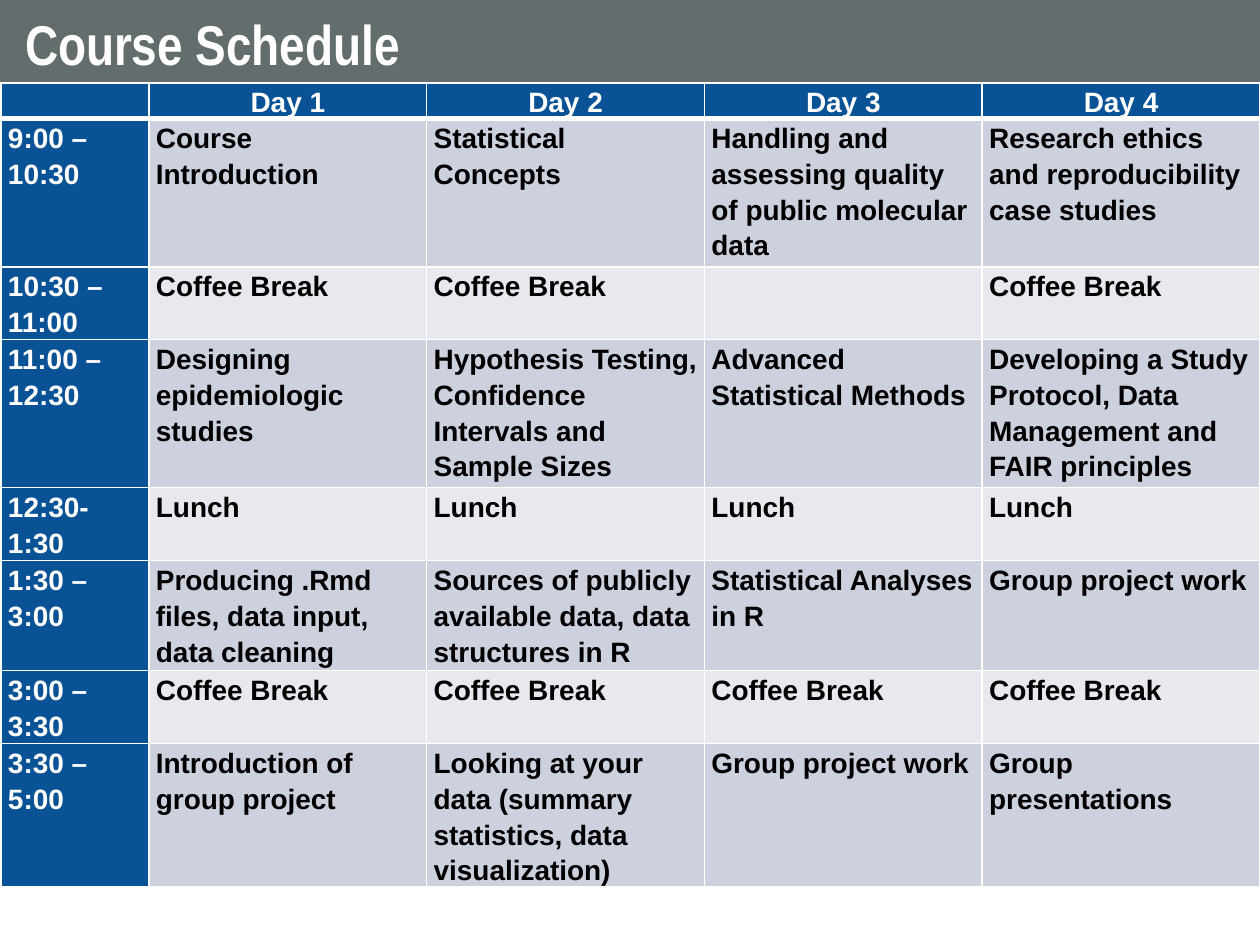
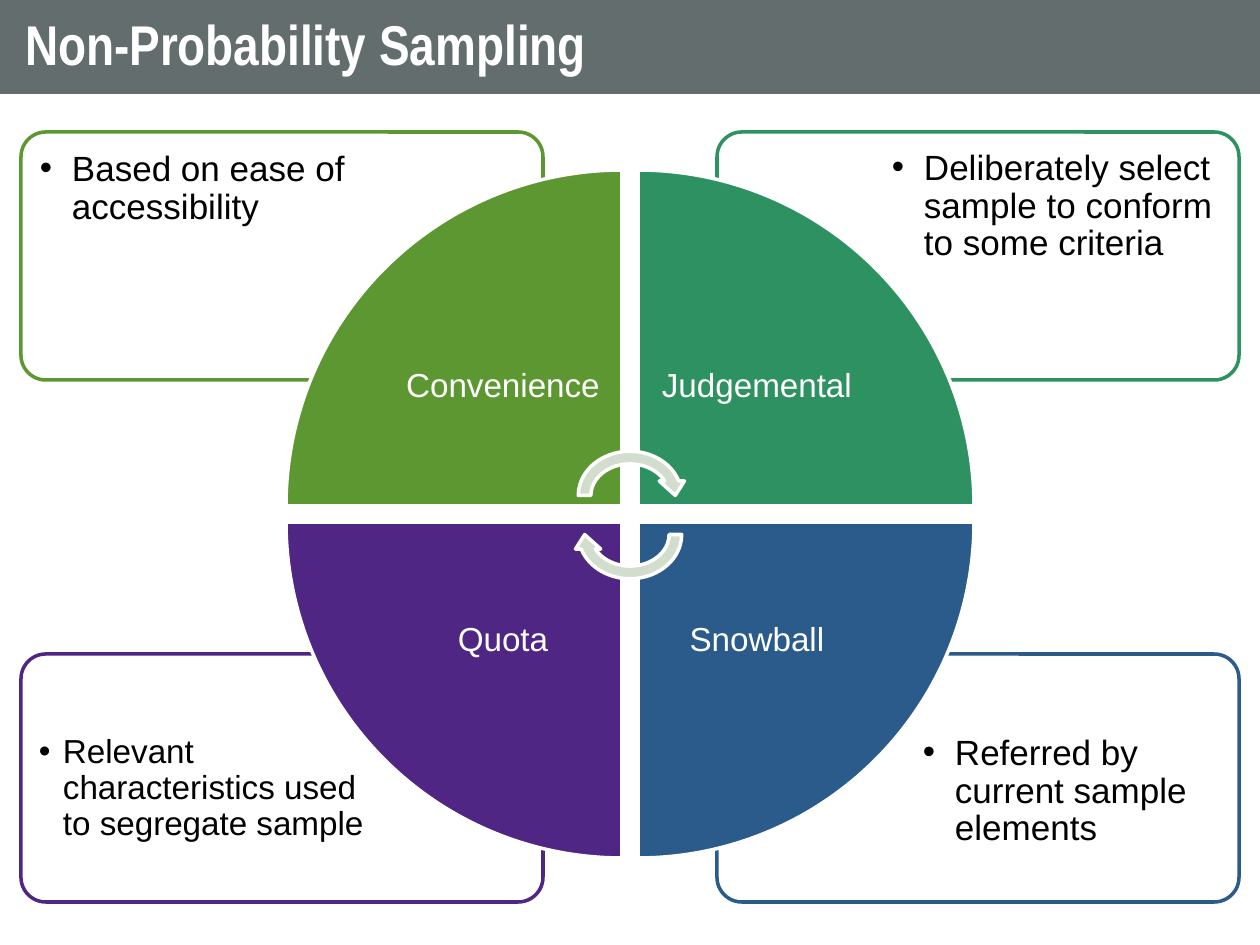
from dataclasses import dataclass

from lxml.etree import SubElement as Sub
from pptx import Presentation
from pptx.dml.color import RGBColor as Rgb
from pptx.enum.shapes import MSO_SHAPE as Kind
from pptx.enum.text import MSO_ANCHOR as Anchor, MSO_AUTO_SIZE as Auto, PP_ALIGN as Align
from pptx.oxml.ns import qn
from pptx.util import Emu, Pt


@dataclass(frozen=True)
class Theme:
    """Colours, faces and type sizes of the deck."""
    band: str = "636D6E"
    white: str = "FFFFFF"
    black: str = "000000"
    blue: str = "085295"
    dark: str = "CCD1DD"
    light: str = "E7E9EF"
    arrow: str = "D2DDCE"
    green: str = "5D9732"
    teal: str = "2E9162"
    navy: str = "2A5B8A"
    plum: str = "4F2683"
    face: str = "Arial"
    head: str = "Arial Narrow"
    title: int = 32
    cell: int = 16
    label: int = 19
    note: int = 20


T = Theme()
SCALE = 914400 / 126
WIDE, HIGH = 1260, 945

DAYS = ["", "Day 1", "Day 2", "Day 3", "Day 4"]
COFFEE = "Coffee Break"
PLAN = [
    (148, ["9:00 – 10:30", "Course Introduction", "Statistical Concepts",
           "Handling and assessing quality of public molecular data",
           "Research ethics and reproducibility case studies"]),
    (73, ["10:30 – 11:00", COFFEE, COFFEE, "", COFFEE]),
    (148, ["11:00 – 12:30", "Designing epidemiologic studies",
           "Hypothesis Testing, Confidence Intervals and Sample Sizes",
           "Advanced Statistical Methods",
           "Developing a Study Protocol, Data Management and FAIR principles"]),
    (73, ["12:30-1:30"] + ["Lunch"] * 4),
    (110, ["1:30 – 3:00", "Producing .Rmd files, data input, data cleaning",
           "Sources of publicly available data, data structures in R",
           "Statistical Analyses in R", "Group project work"]),
    (73, ["3:00 – 3:30"] + [COFFEE] * 4),
    (143, ["3:30 – 5:00", "Introduction of group project",
           "Looking at your data (summary statistics, data visualization)",
           "Group project work", "Group presentations"]),
]


@dataclass(frozen=True)
class Part:
    """One quarter of the wheel with its note."""
    col: int
    row: int
    turn: int
    tone: str
    name: str
    note: str
    size: int = T.note
    left: int = 32
    hang: int = 32
    pad: int = 13


PARTS = [
    Part(1, 1, 180, T.navy, "Snowball", "Referred by current sample elements", left=63),
    Part(0, 1, 270, T.plum, "Quota", "Relevant characteristics used to segregate sample",
         size=T.label, left=24, hang=24),
    Part(1, 0, 90, T.teal, "Judgemental",
         "Deliberately select sample to conform to some criteria"),
    Part(0, 0, 0, T.green, "Convenience", "Based on ease of accessibility", pad=14),
]


def px(num):
    """Turn px into EMU."""
    return Emu(round(num * SCALE))


def paint(item, tone):
    """Fill a shape or cell with one colour."""
    item.fill.solid()
    item.fill.fore_color.rgb = Rgb.from_string(tone)


def inset(item, across, down):
    """Set the margins of a text frame or cell."""
    item.margin_left = item.margin_right = px(across)
    item.margin_top = item.margin_bottom = px(down)


def text(frame, words, size=T.cell, tone=T.black, face=T.face, bold=False,
         align=Align.LEFT, lead=0.9, bullet=None):
    """Write one formatted paragraph."""
    para = frame.paragraphs[0]
    para.alignment, para.line_spacing = align, lead
    if bullet:
        left, hang = bullet
        props = para._p.get_or_add_pPr()
        props.set("marL", str(px(left)))
        props.set("indent", str(-px(hang)))
        Sub(props, qn("a:buFont"), typeface=T.face)
        Sub(props, qn("a:buChar"), char="•")
    run = para.add_run()
    run.text = words
    font = run.font
    font.size, font.name, font.bold = Pt(size), face, bold
    font.color.rgb = Rgb.from_string(tone)


def label(slide, box, words, pad, anchor=Anchor.TOP, **form):
    """Place a wrapped text box."""
    frame = slide.shapes.add_textbox(*map(px, box)).text_frame
    frame.word_wrap, frame.vertical_anchor = True, anchor
    inset(frame, pad, pad)
    text(frame, words, **form)


def shape(slide, kind, box, fill, edge, turn=0):
    """Place a flat preset shape."""
    item = slide.shapes.add_shape(kind, *map(px, box))
    item.shadow.inherit = False
    item.rotation = turn
    paint(item, fill)
    item.line.color.rgb = Rgb.from_string(edge)
    item.line.width = Pt(2)
    return item


def page(deck, words):
    """Add a slide with its title band."""
    slide = deck.slides.add_slide(deck.slide_layouts[5])
    band = slide.shapes.title
    band.left, band.top, band.width, band.height = map(px, (0, 0, WIDE, 94))
    paint(band, T.band)
    frame = band.text_frame
    frame.auto_size, frame.word_wrap = Auto.NONE, True
    frame.vertical_anchor = Anchor.MIDDLE
    inset(frame, 25, 13)
    text(frame, words, size=T.title, tone=T.white, face=T.head, bold=True)
    return slide


def edges(cell, base):
    """Draw white cell borders, the lower one at a given width."""
    props = cell._tc.get_or_add_tcPr()
    for side, width in zip("LRTB", (1, 1, 1, base)):
        line = Sub(props, qn(f"a:ln{side}"), w=str(Pt(width)))
        Sub(Sub(line, qn("a:solidFill")), qn("a:srgbClr"), val=T.white)


def grid(slide, box):
    """Fill the box with the timetable."""
    rows = [(35, DAYS)] + PLAN
    table = slide.shapes.add_table(len(rows), len(DAYS), *map(px, box)).table
    first = 148
    for col, space in enumerate(table.columns):
        space.width = px((box[2] - first) / 4 if col else first)
    for row, (high, words) in enumerate(rows):
        table.rows[row].height = px(high)
        for col, word in enumerate(words):
            cell = table.cell(row, col)
            head = row == 0 or col == 0
            edges(cell, 1 if row else 3)
            paint(cell, T.blue if head else T.dark if row % 2 else T.light)
            inset(cell, 7, 0)
            text(cell.text_frame, word, tone=T.white if head else T.black, bold=True,
                 align=Align.LEFT if row else Align.CENTER, lead=1.15)


def card(slide, box, part):
    """Place an outlined note in its corner of the box."""
    x, y, wide, high = box
    w, h, gap = 522, 248, 5
    left, top = x + part.col * (wide - w), y + part.row * (high - h)
    item = shape(slide, Kind.ROUNDED_RECTANGLE, (left, top, w, h), T.white, part.tone)
    item.adjustments[0] = 0.1
    tint = item._element.spPr.find(qn("a:solidFill"))[0]
    Sub(tint, qn("a:alpha"), val="90000")
    tw, th = 355, 175
    spot = (left + (w - gap - tw if part.col else gap),
            top + (h - gap - th if part.row else gap), tw, th)
    label(slide, spot, part.note, part.pad, size=part.size, bullet=(part.left, part.hang))


def wedge(slide, box, part):
    """Place a named quarter of the wheel."""
    x, y, side, _ = box
    r, t = 336, 238
    left, top = x + part.col * (side - r), y + part.row * (side - r)
    shape(slide, Kind.PIE_WEDGE, (left, top, r, r), part.tone, T.white, part.turn)
    spot = (left + (1 - part.col) * (r - t), top + (1 - part.row) * (r - t), t, t)
    label(slide, spot, part.name, 19, Anchor.MIDDLE, size=T.label, tone=T.white,
          align=Align.CENTER)


def wheel(slide, box):
    """Place four wedges and the two arrows at their centre."""
    for part in sorted(PARTS, key=lambda part: part.turn):
        wedge(slide, box, part)
    x, y, side, _ = box
    w, h = 116, 101
    for top, turn in ((275, 0), (314, 180)):
        spot = (x + (side - w) // 2, y + top, w, h)
        shape(slide, Kind.CIRCULAR_ARROW, spot, T.arrow, T.white, turn)


def main():
    """Build and save the deck."""
    deck = Presentation()
    deck.slide_width, deck.slide_height = px(WIDE), px(HIGH)
    grid(page(deck, "Course Schedule"), (1, 83, 1259, 803))
    slide = page(deck, "Non-Probability Sampling")
    for part in PARTS:
        card(slide, (21, 132, 1218, 770), part)
    wheel(slide, (286, 170, 688, 688))
    deck.save("out.pptx")


if __name__ == "__main__":
    main()
